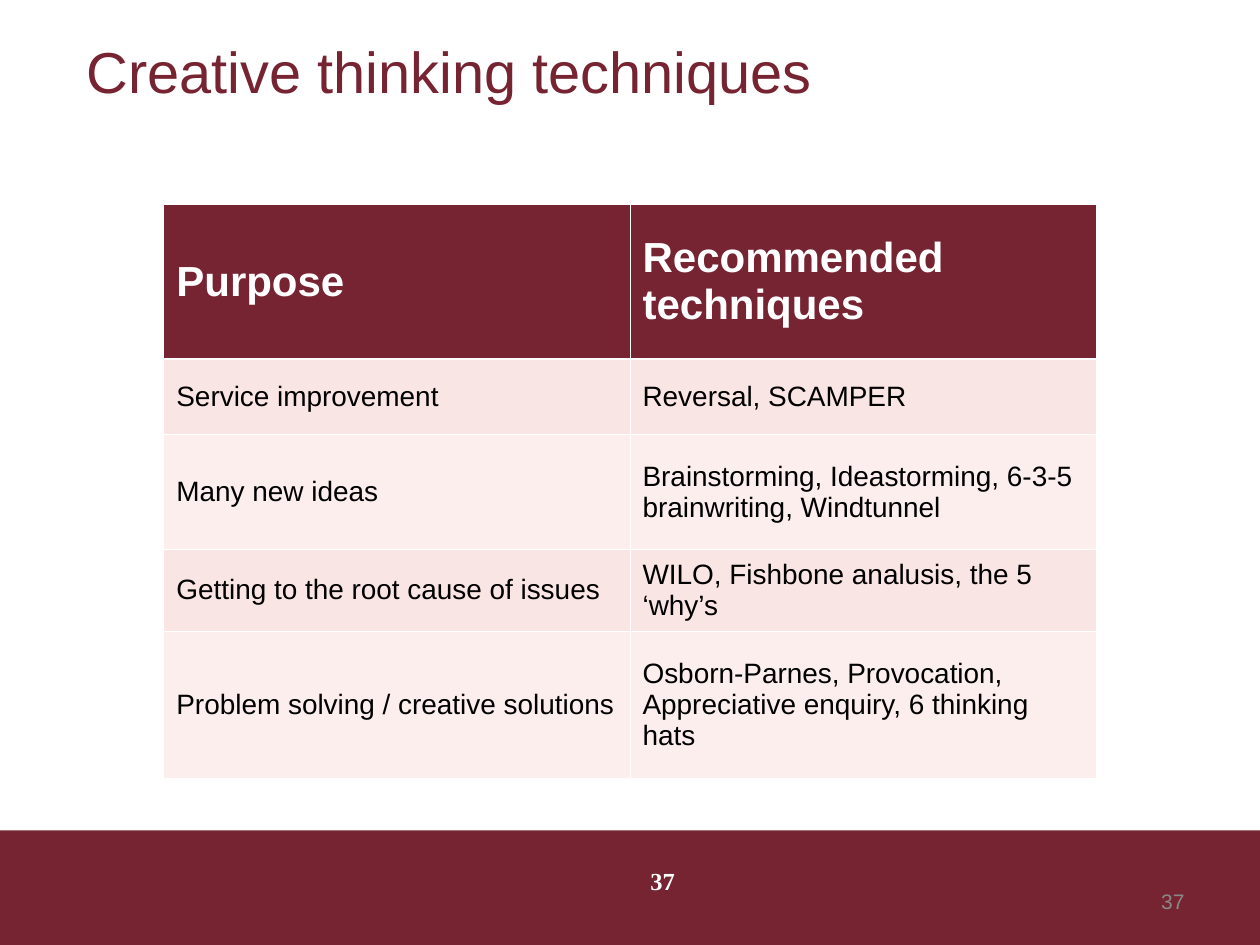
"""Build the slide that matches creative thinking techniques to purposes."""
from dataclasses import dataclass

import lxml.etree
import pptx
import pptx.dml.color
import pptx.enum.shapes
import pptx.enum.text
import pptx.oxml.ns
import pptx.util

Align = pptx.enum.text.PP_ALIGN
Anchor = pptx.enum.text.MSO_ANCHOR


@dataclass(frozen=True)
class Style:
    size: int
    color: str
    font: str = "Arial"
    bold: bool = False


@dataclass(frozen=True)
class Theme:
    wine: str = "772432"
    white: str = "FFFFFF"
    bands: tuple[str, str] = ("F4CDC8", "F8DFDC")
    band_opacity: int = 50
    thin: float = 0.45
    thick: float = 1.47
    title: Style = Style(33, "772432")
    header: Style = Style(24, "FFFFFF", bold=True)
    body: Style = Style(16, "000000")
    number: Style = Style(12, "898989")
    footer: Style = Style(14, "FFFFFF", "Times New Roman", True)


@dataclass(frozen=True)
class Area:
    left: float
    top: float
    width: float
    height: float

    def lengths(self) -> tuple[int, int, int, int]:
        return (int(WIDTH * self.left), int(HEIGHT * self.top),
                int(WIDTH * self.width), int(HEIGHT * self.height))


@dataclass(frozen=True)
class Label:
    text: str
    area: Area
    style: Style
    align: Align = Align.LEFT
    anchor: Anchor = Anchor.MIDDLE


@dataclass(frozen=True)
class Row:
    purpose: str
    techniques: str
    share: float


WIDTH, HEIGHT = pptx.util.Inches(10), pptx.util.Inches(7.5)
THEME = Theme()
FOOTER_BAND = Area(0, 6.59 / 7.5, 1, 0.91 / 7.5)
TABLE_AREA = Area(0.13, 1.62 / 7.5, 0.74, 4.56 / 7.5)
LABELS = (
    Label("Creative thinking techniques", Area(0.059, 0, 0.748, 0.148), THEME.title),
    Label("37", Area(0.717, 6.95 / 7.5, 0.233, 0.4 / 7.5), THEME.number, Align.RIGHT),
    Label("37", Area(0.484, 6.82 / 7.5, 0.084, 0.52 / 7.5), THEME.footer,
          Align.CENTER, Anchor.TOP),
)
ROWS = (
    Row("Purpose", "Recommended techniques", 1.23),
    Row("Service improvement", "Reversal, SCAMPER", 0.6),
    Row("Many new ideas", "Brainstorming, Ideastorming, 6-3-5 brainwriting, Windtunnel", 0.91),
    Row("Getting to the root cause of issues", "WILO, Fishbone analusis, the 5 ‘why’s", 0.65),
    Row("Problem solving / creative solutions",
        "Osborn-Parnes, Provocation, Appreciative enquiry, 6 thinking hats", 1.17),
)


def rgb(color: str) -> pptx.dml.color.RGBColor:
    return pptx.dml.color.RGBColor.from_string(color)


def add_child(parent, tag: str, **attributes: str):
    return lxml.etree.SubElement(parent, pptx.oxml.ns.qn(tag), attributes)


def write(text_frame, text: str, style: Style, align: Align = Align.LEFT) -> None:
    text_frame.word_wrap = True
    paragraph = text_frame.paragraphs[0]
    paragraph.alignment = align
    run = paragraph.add_run()
    run.text = text
    run.font.name, run.font.size = style.font, pptx.util.Pt(style.size)
    run.font.bold, run.font.color.rgb = style.bold, rgb(style.color)


def add_label(slide, label: Label) -> None:
    text_frame = slide.shapes.add_textbox(*label.area.lengths()).text_frame
    text_frame.vertical_anchor = label.anchor
    write(text_frame, label.text, label.style, label.align)


def add_band(slide, area: Area, color: str) -> None:
    shape = slide.shapes.add_shape(
        pptx.enum.shapes.MSO_SHAPE.RECTANGLE, *area.lengths())
    shape.shadow.inherit = False
    shape.fill.solid()
    shape.fill.fore_color.rgb = rgb(color)
    shape.line.fill.background()


def set_borders(cell, widths: dict[str, float]) -> None:
    properties = cell._tc.get_or_add_tcPr()
    for position, (side, width) in enumerate(widths.items()):
        line = lxml.etree.Element(
            pptx.oxml.ns.qn(f"a:ln{side}"), w=str(pptx.util.Pt(width)))
        properties.insert(position, line)
        add_child(add_child(line, "a:solidFill"), "a:srgbClr", val=THEME.white)


def fill_cell(cell, row_index: int) -> None:
    cell.fill.solid()
    if row_index == 0:
        cell.fill.fore_color.rgb = rgb(THEME.wine)
        return
    cell.fill.fore_color.rgb = rgb(THEME.bands[(row_index - 1) % 2])
    color = cell._tc.tcPr.find(".//" + pptx.oxml.ns.qn("a:srgbClr"))
    add_child(color, "a:alpha", val=str(THEME.band_opacity * 1000))


def add_technique_table(slide, area: Area, rows: tuple[Row, ...]) -> None:
    table = slide.shapes.add_table(len(rows), 2, *area.lengths()).table
    total = sum(row.share for row in rows)
    for row_index, row in enumerate(rows):
        table.rows[row_index].height = int(HEIGHT * area.height * row.share / total)
        widths = {"L": THEME.thin, "R": THEME.thin,
                  "T": THEME.thick if row_index == 1 else THEME.thin,
                  "B": THEME.thick if row_index == 0 else THEME.thin}
        for column, text in enumerate((row.purpose, row.techniques)):
            cell = table.cell(row_index, column)
            cell.vertical_anchor = Anchor.MIDDLE
            fill_cell(cell, row_index)
            set_borders(cell, widths)
            write(cell.text_frame, text, THEME.body if row_index else THEME.header)


def main() -> None:
    presentation = pptx.Presentation()
    presentation.slide_width, presentation.slide_height = WIDTH, HEIGHT
    slide = presentation.slides.add_slide(presentation.slide_layouts[6])
    add_band(slide, FOOTER_BAND, THEME.wine)
    for label in LABELS:
        add_label(slide, label)
    add_technique_table(slide, TABLE_AREA, ROWS)
    presentation.save("out.pptx")


if __name__ == "__main__":
    main()
